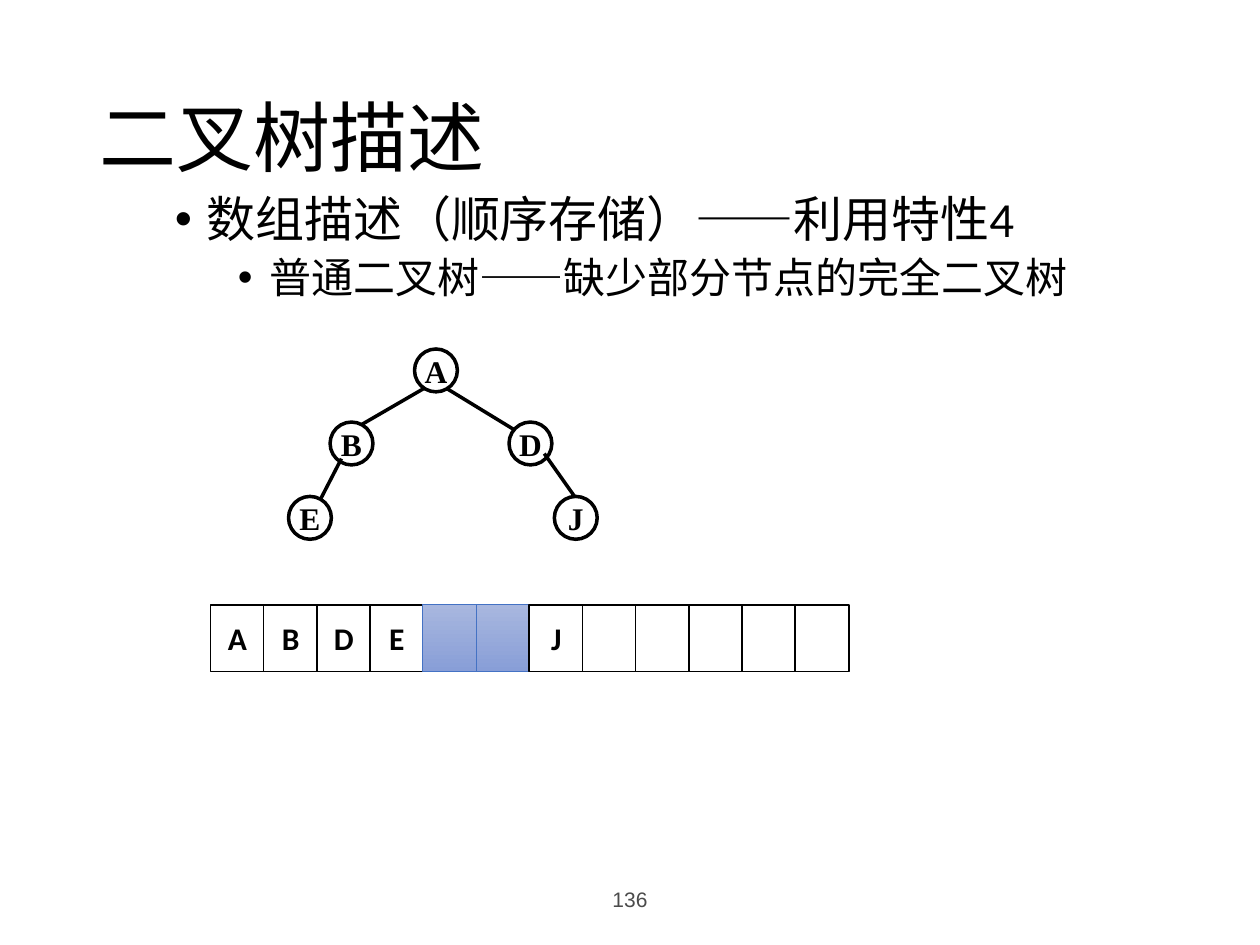
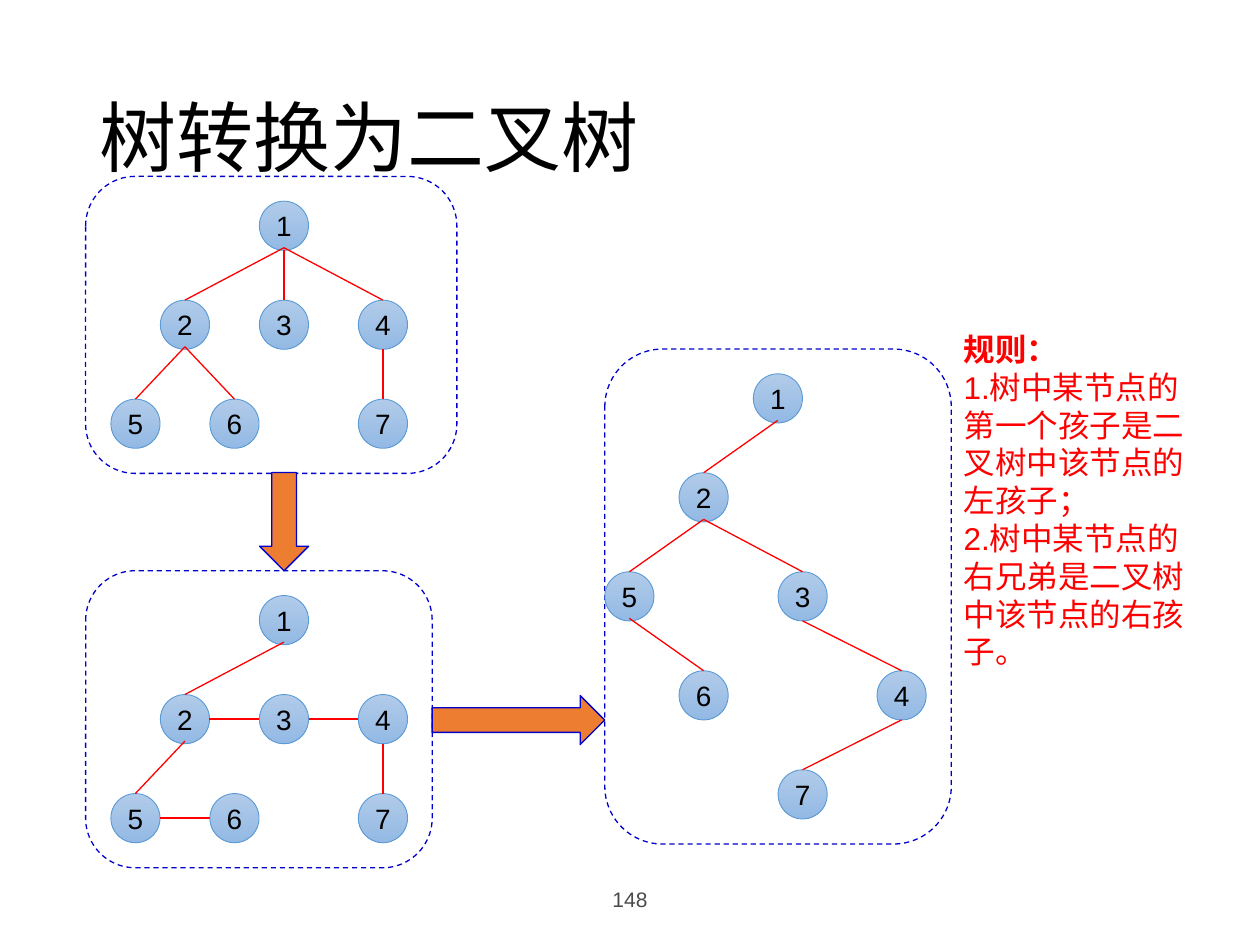
from pptx import Presentation
from pptx.dml.color import RGBColor
from pptx.enum.dml import MSO_LINE
from pptx.enum.lang import MSO_LANGUAGE_ID as LANGUAGE
from pptx.enum.shapes import MSO_CONNECTOR, MSO_SHAPE
from pptx.enum.text import MSO_ANCHOR, PP_ALIGN
from pptx.oxml.ns import qn
from pptx.util import Inches, Pt
from lxml.etree import SubElement

BLACK = RGBColor(0x00, 0x00, 0x00)
WHITE = RGBColor(0xFF, 0xFF, 0xFF)
GRAY = RGBColor(0x4B, 0x4B, 0x4B)
RED = RGBColor(0xFF, 0x00, 0x00)
NAVY = RGBColor(0x00, 0x00, 0xCC)
ORANGE = RGBColor(0xED, 0x7D, 0x31)
CELL_LINE = RGBColor(0x44, 0x72, 0xC4)
NODE_LINE = RGBColor(0x5B, 0x9B, 0xD5)
CELL_BLUES = (RGBColor(0xA8, 0xB7, 0xDF), RGBColor(0x88, 0x9E, 0xD7))
NODE_BLUES = (RGBColor(0xB1, 0xCB, 0xE9), RGBColor(0x93, 0xB9, 0xE4))


def write(para, text, size, font, color=BLACK, bold=False, align=PP_ALIGN.LEFT):
    para.alignment = align
    span = para.add_run()
    span.text = text
    span.font.size = Pt(size)
    span.font.name = font
    span.font.bold = bold
    span.font.color.rgb = color
    span.font.language_id = LANGUAGE.SIMPLIFIED_CHINESE


def draw(page, kind, bounds, fill, line, weight):
    """Add a shape; fill is None, one colour, or a (top, bottom) gradient."""
    shape = page.shapes.add_shape(kind, *map(Inches, bounds))
    shape.shadow.inherit = False
    if fill is None:
        shape.fill.background()
    elif fill in (CELL_BLUES, NODE_BLUES):
        shape.fill.gradient()
        shape.fill.gradient_angle = 270
        for stop, color in zip(shape.fill.gradient_stops, fill):
            stop.color.rgb = color
    else:
        shape.fill.solid()
        shape.fill.fore_color.rgb = fill
    shape.line.color.rgb = line
    shape.line.width = Pt(weight)
    frame = shape.text_frame
    frame.word_wrap = False
    frame.vertical_anchor = MSO_ANCHOR.MIDDLE
    frame.margin_left = frame.margin_right = frame.margin_top = frame.margin_bottom = 0
    return shape


deck = Presentation()
deck.slide_width, deck.slide_height = Inches(10), Inches(7.5)

# Title and page number of every slide
pages = []
for title, number in (("二叉树描述", "136"), ("树转换为二叉树", "148")):
    page = deck.slides.add_slide(deck.slide_layouts[6])
    pages.append(page)
    for bounds, text, size, font, color, align in (
        ((0.69, 0.4, 8.62, 1.45), title, 44, "Calibri", BLACK, PP_ALIGN.LEFT),
        ((3.31, 6.95, 3.38, 0.4), number, 12, "Arial", GRAY, PP_ALIGN.CENTER),
    ):
        box = page.shapes.add_textbox(*map(Inches, bounds))
        box.text_frame.word_wrap = True
        box.text_frame.vertical_anchor = MSO_ANCHOR.MIDDLE
        para = box.text_frame.paragraphs[0]
        para.line_spacing = 0.9
        write(para, text, size, font, color, align=align)
array_page, convert_page = pages
edges = []  # page, start, end, colour, weight

# Slide 1: bullets
box = array_page.shapes.add_textbox(Inches(1.29), Inches(1.5), Inches(8.5), Inches(4.95))
frame = box.text_frame
frame.word_wrap = True
for level, (text, size, before, indent) in enumerate((
    ("数组描述（顺序存储）——利用特性4", 28, 10, 0.25),
    ("普通二叉树——缺少部分节点的完全二叉树", 24, 5, 0.75),
)):
    para = frame.add_paragraph() if level else frame.paragraphs[0]
    para.level = level
    para.line_spacing = 0.9
    para.space_before = Pt(before)
    write(para, text, size, "Calibri")
    props = para._p.get_or_add_pPr()
    props.set("marL", str(Inches(indent)))
    props.set("indent", str(Inches(-0.25)))
    SubElement(props, qn("a:buFont"), typeface="Arial")
    SubElement(props, qn("a:buChar"), char="•")

# Slide 1: binary tree with missing nodes
for label, left, top in (("A", 3.29, 2.77), ("B", 2.62, 3.35), ("D", 4.04, 3.35),
                         ("E", 2.29, 3.94), ("J", 4.4, 3.94)):
    node = draw(array_page, MSO_SHAPE.OVAL, (left, top, 0.34, 0.34), None, BLACK, 2)
    write(node.text_frame.paragraphs[0], label, 18, "Times New Roman",
          bold=True, align=PP_ALIGN.CENTER)
for start, end in (((3.37, 3.08), (2.87, 3.37)), ((3.54, 3.08), (4.08, 3.41)),
                   ((2.71, 3.64), (2.54, 3.97)), ((4.32, 3.6), (4.56, 3.94))):
    edges.append((array_page, start, end, BLACK, 2))

# Slide 1: array of twelve cells, where "-" marks a missing node
CELL_PITCH = 4.64 / 11
for index, label in enumerate("ABDE--J     "):
    missing = label == "-"
    cell = draw(array_page, MSO_SHAPE.RECTANGLE,
                (1.67 + index * CELL_PITCH, 4.8, 0.43, 0.53),
                CELL_BLUES if missing else WHITE,
                CELL_LINE if missing else BLACK, 0.5 if missing else 1)
    if label.isalpha():
        write(cell.text_frame.paragraphs[0], label, 18, "Calibri",
              bold=True, align=PP_ALIGN.CENTER)

# Slide 2: three trees on one grid; node places are (column, row) in grid steps
STEP = 2.75 / 7
NODE = 0.39
GENERAL = {"1": (3, 0), "2": (1, 2), "3": (3, 2), "4": (5, 2),
           "5": (0, 4), "6": (2, 4), "7": (5, 4)}
BINARY = {"1": (3, 0), "2": (1.5, 2), "3": (3.5, 4), "4": (5.5, 6),
          "5": (0, 4), "6": (1.5, 6), "7": (3.5, 8)}
# panel left, top, columns, rows; left of first node; nodes; edges
TREES = (
    (0.68, 1.4, 7.5, 6, 0.88, GENERAL, "12 13 14 25 26 47"),
    (0.68, 4.53, 7, 6, 0.88, GENERAL, "12 23 34 25 56 47"),
    (4.8, 2.77, 7, 10, 4.8, BINARY, "12 25 23 56 34 47"),
)
for left, top, columns, rows, node_left, nodes, links in TREES:
    panel = draw(convert_page, MSO_SHAPE.ROUNDED_RECTANGLE,
                 (left, top, columns * STEP, rows * STEP), None, NAVY, 0.75)
    panel.line.dash_style = MSO_LINE.DASH
    corners = {label: (node_left + column * STEP, top + (row + 0.5) * STEP)
               for label, (column, row) in nodes.items()}
    for label, corner in corners.items():
        node = draw(convert_page, MSO_SHAPE.OVAL, (*corner, NODE, NODE),
                    NODE_BLUES, NODE_LINE, 0.5)
        write(node.text_frame.paragraphs[0], label, 16, "Arial", align=PP_ALIGN.CENTER)
    for parent, child in links.split():
        (x1, y1), (x2, y2) = corners[parent], corners[child]
        if y1 == y2:  # siblings are joined side to side
            start, end = (x1 + NODE, y1 + NODE / 2), (x2, y2 + NODE / 2)
        else:
            drop = NODE if x1 == x2 or parent in "34" else 0.37
            start, end = (x1 + NODE / 2, y1 + drop), (x2 + NODE / 2, y2)
        edges.append((convert_page, start, end, RED, 0.75))

# Slide 2: arrows between the panels
for kind, bounds in ((MSO_SHAPE.DOWN_ARROW, (2.06, 3.75, 0.39, 0.78)),
                     (MSO_SHAPE.RIGHT_ARROW, (3.43, 5.52, 1.37, 0.39))):
    draw(convert_page, kind, bounds, ORANGE, NAVY, 0.75)

# Slide 2: rules
box = convert_page.shapes.add_textbox(Inches(7.55), Inches(2.57), Inches(1.96), Inches(2.83))
frame = box.text_frame
frame.word_wrap = True
for index, text in enumerate((
    "规则：",
    "1.树中某节点的第一个孩子是二叉树中该节点的左孩子；",
    "2.树中某节点的右兄弟是二叉树中该节点的右孩子。",
)):
    para = frame.add_paragraph() if index else frame.paragraphs[0]
    write(para, text, 18, "Arial", RED, bold=index == 0)

# Tree edges of both slides
for page, start, end, color, weight in edges:
    edge = page.shapes.add_connector(MSO_CONNECTOR.STRAIGHT, *map(Inches, start + end))
    edge.line.color.rgb = color
    edge.line.width = Pt(weight)
    SubElement(edge._element.spPr, qn("a:effectLst"))

deck.save("out.pptx")
